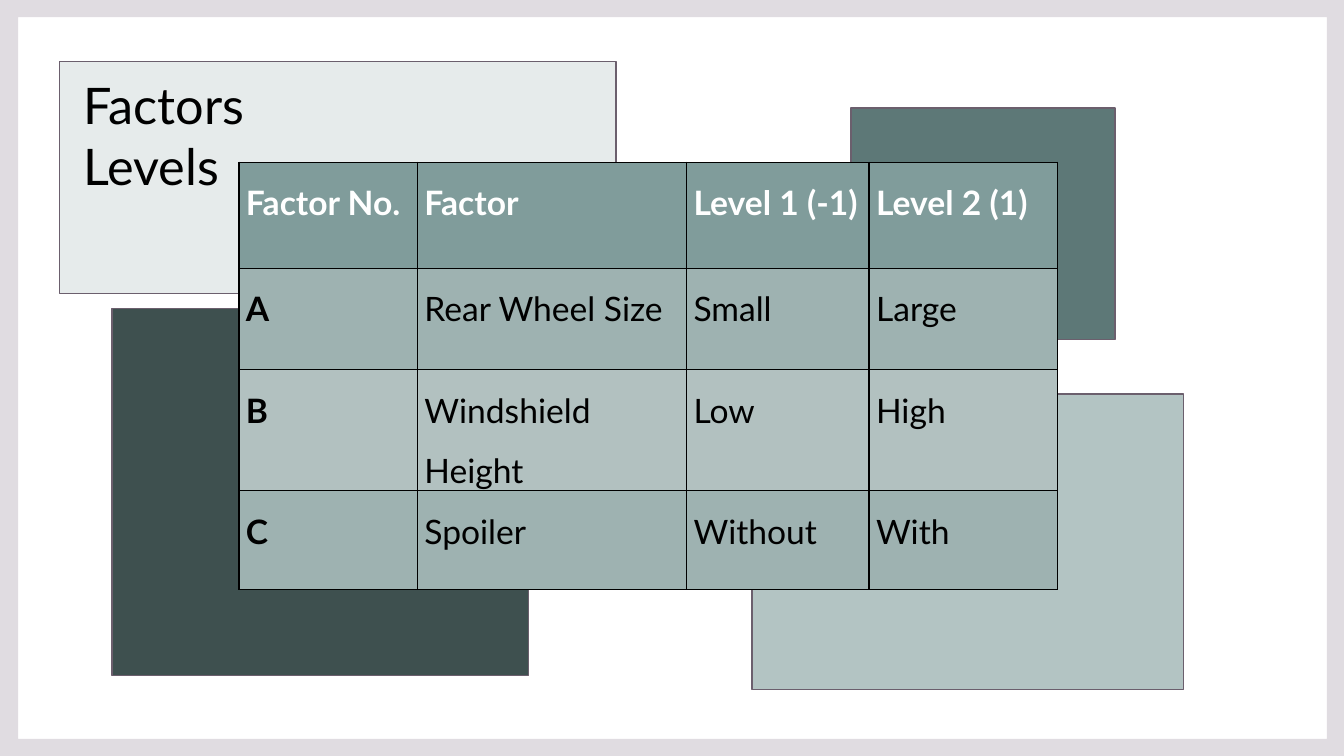
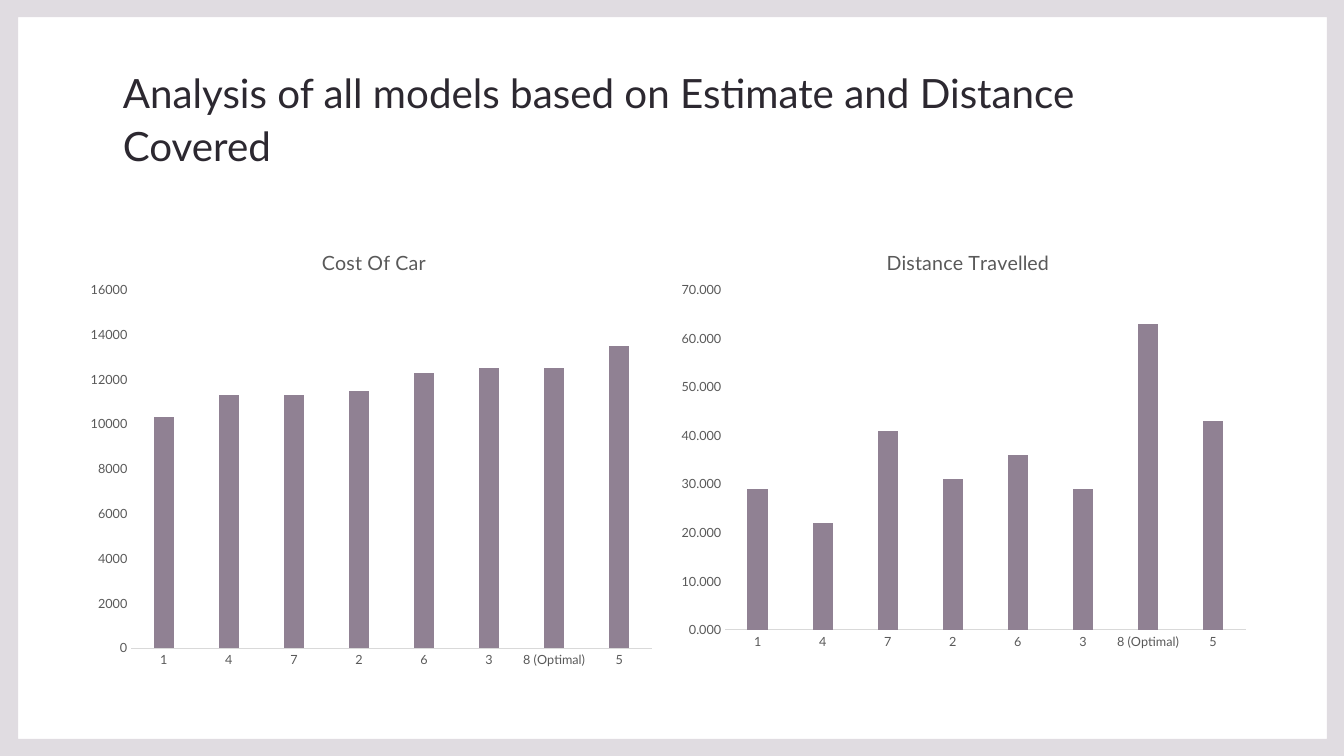
from dataclasses import dataclass

from pptx import Presentation
from pptx.chart.data import CategoryChartData
from pptx.dml.color import RGBColor
from pptx.enum.chart import XL_CHART_TYPE, XL_TICK_MARK
from pptx.enum.shapes import MSO_SHAPE
from pptx.enum.text import MSO_ANCHOR
from pptx.oxml import parse_xml
from pptx.oxml.ns import nsdecls, qn
from pptx.util import Inches, Pt


@dataclass(frozen=True)
class Theme:
    font: str = "Lato"
    frame: str = "E0DCE1"
    outline: str = "6B5F6D"
    mist: str = "E6EBEB"
    slate: str = "5D7877"
    pine: str = "3E504F"
    sage: str = "B3C4C3"
    header: str = "809C9B"
    odd_row: str = "9EB2B1"
    even_row: str = "B2C1C0"
    black: str = "000000"
    white: str = "FFFFFF"
    title: str = "2C2830"
    chart_text: str = "595959"
    axis_line: str = "D9D9D9"
    bar: str = "908193"
    heading_size: float = 36
    title_size: float = 28.8
    table_size: float = 24
    chart_title_size: float = 14
    axis_size: float = 9


theme = Theme()
deck = Presentation()
deck.slide_width = Inches(13.33)
deck.slide_height = Inches(7.5)


def add_framed_page():
    """Add a blank slide with the tinted border all its edges share."""
    page = deck.slides.add_slide(deck.slide_layouts[6])
    outer = [(0, 0), (13.33, 0), (13.33, 7.5), (0, 7.5)]
    inner = [(0.18, 0.17), (0.18, 7.33), (13.16, 7.33), (13.16, 0.17)]
    outer, inner = ([(Inches(x), Inches(y)) for x, y in ring] for ring in (outer, inner))
    builder = page.shapes.build_freeform(*outer[0])
    builder.add_line_segments(outer[1:], close=True)
    builder.move_to(*inner[0])
    builder.add_line_segments(inner[1:], close=True)
    frame = builder.convert_to_shape()
    frame.shadow.inherit = False
    frame.fill.solid()
    frame.fill.fore_color.rgb = RGBColor.from_string(theme.frame)
    frame.line.fill.background()
    return page


def write(text_frame, text, *, size, color, bold=False, spacing=None):
    para = text_frame.paragraphs[0]
    para.line_spacing = spacing
    span = para.add_run()
    span.text = text
    span.font.name = theme.font
    span.font.size = Pt(size)
    span.font.bold = bold
    span.font.color.rgb = RGBColor.from_string(color)


# Factors and levels
page = add_framed_page()
blocks = [
    (0.59, 0.61, 5.52, 2.3, theme.mist),
    (8.44, 1.07, 2.62, 2.3, theme.slate),
    (1.11, 3.06, 4.13, 3.64, theme.pine),
    (7.46, 3.91, 4.28, 2.93, theme.sage),
]
for left, top, width, height, color in blocks:
    block = page.shapes.add_shape(
        MSO_SHAPE.RECTANGLE, Inches(left), Inches(top), Inches(width), Inches(height))
    block.shadow.inherit = False
    block.fill.solid()
    block.fill.fore_color.rgb = RGBColor.from_string(color)
    block.line.color.rgb = RGBColor.from_string(theme.outline)
    block.line.width = Pt(1)

rows = [
    ["Factor No.", "Factor", "Level 1 (-1)", "Level 2 (1)"],
    ["A", "Rear Wheel Size", "Small", "Large"],
    ["B", "Windshield Height", "Low", "High"],
    ["C", "Spoiler", "Without", "With"],
]
column_widths = [1.77, 2.67, 1.81, 1.87]
row_heights = [1.05, 1.01, 1.05, 0.98]
table = page.shapes.add_table(
    len(rows), len(column_widths), Inches(2.37), Inches(1.61),
    Inches(sum(column_widths)), Inches(sum(row_heights))).table
for column, width in zip(table.columns, column_widths):
    column.width = Inches(width)
for row, height in zip(table.rows, row_heights):
    row.height = Inches(height)

for row_index, texts in enumerate(rows):
    is_header = row_index == 0
    fill = theme.header if is_header else theme.odd_row if row_index % 2 else theme.even_row
    for column_index, text in enumerate(texts):
        cell = table.cell(row_index, column_index)
        cell.margin_left = cell.margin_right = Inches(0.07)
        cell.margin_top = cell.margin_bottom = 0
        for side in ("lnL", "lnR", "lnT", "lnB"):
            cell._tc.get_or_add_tcPr().append(parse_xml(
                f'<a:{side} {nsdecls("a")} w="{Pt(1)}"><a:solidFill>'
                f'<a:srgbClr val="{theme.black}"/></a:solidFill></a:{side}>'))
        cell.fill.solid()
        cell.fill.fore_color.rgb = RGBColor.from_string(fill)
        write(cell.text_frame, text, size=theme.table_size, spacing=1.5,
              color=theme.white if is_header else theme.black,
              bold=is_header or column_index == 0)

box = page.shapes.add_textbox(Inches(0.73), Inches(0.69), Inches(3.21), Inches(0.71))
box.text_frame.word_wrap = True
write(box.text_frame, "Factors Levels", size=theme.heading_size, color=theme.black)

# Cost and distance charts
page = add_framed_page()
box = page.shapes.add_textbox(Inches(1.12), Inches(0.79), Inches(11.08), Inches(1.41))
box.text_frame.word_wrap = True
box.text_frame.vertical_anchor = MSO_ANCHOR.BOTTOM
box.text_frame.margin_bottom = Inches(0.52)
write(box.text_frame, "Analysis of all models based on Estimate and Distance Covered",
      size=theme.title_size, color=theme.title, spacing=1.1)

models = ["1", "4", "7", "2", "6", "3", "8 (Optimal)", "5"]
charts = [
    dict(left=0.78, title="Cost Of Car", title_x=0.41, plot_height=0.79,
         maximum=16000, step=2000, number_format="General",
         values=[10300, 11300, 11300, 11500, 12300, 12500, 12500, 13500]),
    dict(left=6.67, title="Distance Travelled", title_x=0.36, plot_height=0.75,
         maximum=70, step=10, number_format="0.000",
         values=[29, 22, 41, 31, 36, 29, 63, 43]),
]
for item in charts:
    data = CategoryChartData(number_format=item["number_format"])
    data.categories = models
    data.add_series("Series 1", item["values"])
    chart = page.shapes.add_chart(
        XL_CHART_TYPE.COLUMN_CLUSTERED, Inches(item["left"]), Inches(2.2),
        Inches(5.8), Inches(4.5), data).chart
    chart.has_legend = False
    chart.font.name = theme.font
    chart.font.size = Pt(theme.axis_size)
    chart.font.color.rgb = RGBColor.from_string(theme.chart_text)
    chart.has_title = True
    write(chart.chart_title.text_frame, item["title"],
          size=theme.chart_title_size, color=theme.chart_text)

    plot = chart.plots[0]
    plot.gap_width = 219
    plot.overlap = -27
    plot.vary_by_categories = False
    bars = plot.series[0].format.fill
    bars.solid()
    bars.fore_color.rgb = RGBColor.from_string(theme.bar)

    for axis in (chart.category_axis, chart.value_axis):
        axis.has_major_gridlines = False
        axis.major_tick_mark = axis.minor_tick_mark = XL_TICK_MARK.NONE
    chart.category_axis.format.line.color.rgb = RGBColor.from_string(theme.axis_line)
    chart.category_axis.format.line.width = Pt(0.75)
    value_axis = chart.value_axis
    value_axis.format.line.fill.background()
    value_axis.minimum_scale = 0
    value_axis.maximum_scale = item["maximum"]
    value_axis.major_unit = item["step"]
    value_axis.tick_labels.number_format = item["number_format"]
    value_axis.tick_labels.number_format_is_linked = False

    title_layout = dict(xMode="edge", yMode="edge", x=item["title_x"], y=0.05)
    plot_layout = dict(layoutTarget="inner", xMode="edge", yMode="edge",
                       x=0.09, y=0.15, w=0.89, h=item["plot_height"])
    plot_area = chart.element.find(".//" + qn("c:plotArea"))
    for parent, position, layout in (
            (chart.chart_title.element, 1, title_layout), (plot_area, 0, plot_layout)):
        automatic = parent.find(qn("c:layout"))
        if automatic is not None:
            parent.remove(automatic)
        settings = "".join(f'<c:{tag} val="{value}"/>' for tag, value in layout.items())
        parent.insert(position, parse_xml(
            f'<c:layout {nsdecls("c")}><c:manualLayout>{settings}</c:manualLayout></c:layout>'))

deck.save("out.pptx")
